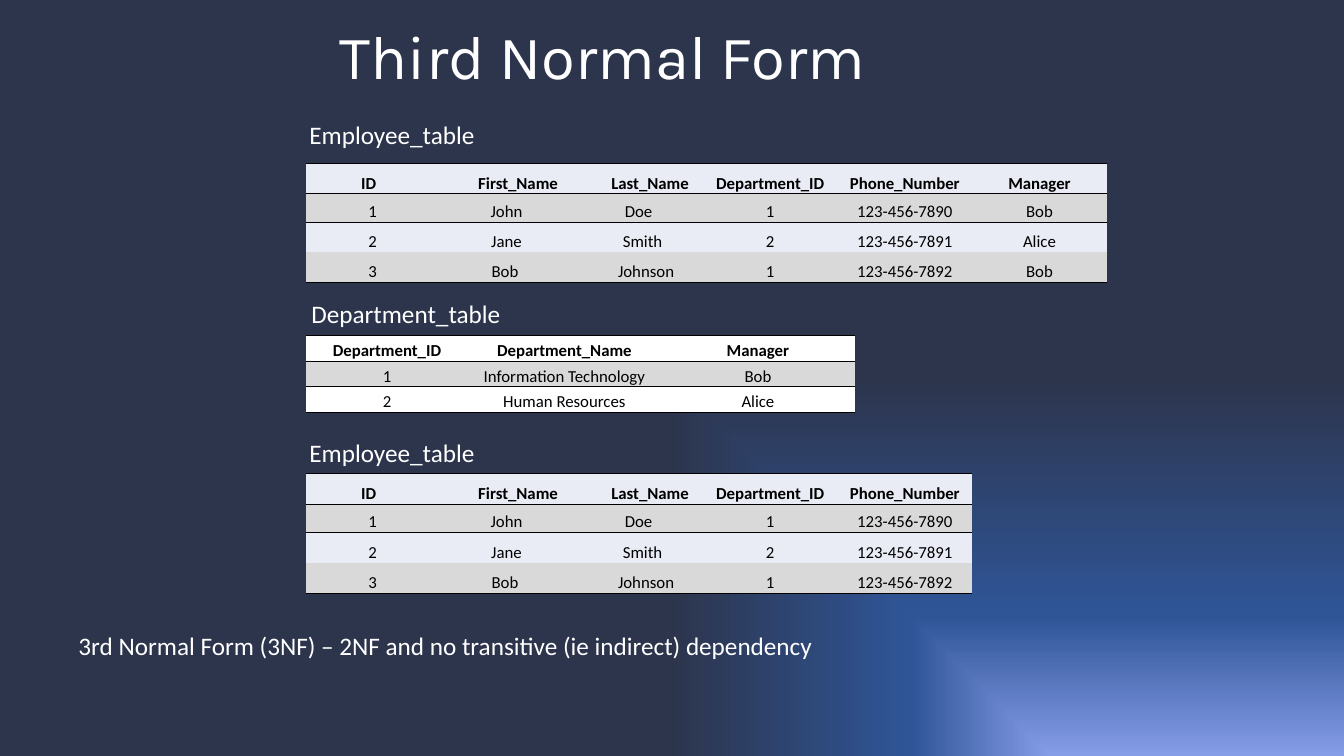
from dataclasses import dataclass
from lxml import etree
from pptx import Presentation
from pptx import util as u
from pptx.dml.color import RGBColor
from pptx.enum import text
from pptx.oxml import parse_xml
from pptx.oxml.ns import nsdecls, qn


@dataclass(frozen=True)
class Theme:
    body_font: str = "Calibri"
    title_font: str = "Karla"
    title_size: int = 44
    label_size: int = 18
    cell_size: int = 12
    light: str = "FFFFFF"
    ink: str = "000000"
    band: str = "D9D9D9"
    pale: str = "E9EBF5"
    glow: tuple = ((0, "859CE7"), (37, "2F5597"), (100, "2D354D"))


THEME = Theme()
SLIDE_WIDTH, SLIDE_HEIGHT = u.Inches(13.33), u.Inches(7.5)
NO_STYLE = "{2D5ABB26-0587-4C30-8999-92F81FD0307C}"
TABLE_LEFT = 22.8

EMPLOYEES = [
    ["ID", "First_Name", "Last_Name", "Department_ID", "Phone_Number", "Manager"],
    ["1", "John", "Doe", "1", "123-456-7890", "Bob"],
    ["2", "Jane", "Smith", "2", "123-456-7891", "Alice"],
    ["3", "Bob", "Johnson", "1", "123-456-7892", "Bob"],
]
EMPLOYEE_COLUMNS = [9.85, 11.8, 7.85, 10.02, 10.02, 10.02]
EMPLOYEE_ROWS = [4, 3.75, 4, 4]
EMPLOYEE_INDENTS = {
    (0, 0): 0.08,
    (1, 1): 0.23, (1, 2): 0.23,
    (2, 1): 0.23, (2, 2): 0.15,
    (3, 1): 0.26, (3, 2): 0.08,
}
DEPARTMENTS = [
    ["Department_ID", "Department_Name", "Manager"],
    ["1", "Information Technology", "Bob"],
    ["2", "Human Resources", "Alice"],
]
DEPARTMENT_COLUMNS = [12, 14.4, 14.4]
DEPARTMENT_ROWS = [3.37] * 3


def across(percent):
    return int(SLIDE_WIDTH * percent / 100)


def down(percent):
    return int(SLIDE_HEIGHT * percent / 100)


def area(left, top, width, height):
    return across(left), down(top), across(width), down(height)


def apply(target, values):
    for name, value in values.items():
        setattr(target, name, value)


def write(frame, words, size, color, font, bold=False, align=None):
    paragraph = frame.paragraphs[0]
    paragraph.alignment = align
    run = paragraph.add_run()
    run.text = words
    apply(run.font, {"name": font, "size": u.Pt(size), "bold": bold})
    run.font.color.rgb = RGBColor.from_string(color)


def paint_background(slide):
    slide.background.fill.gradient()
    gradient = slide.background._cSld.find(".//" + qn("a:gradFill"))
    stops = "".join(
        f'<a:gs pos="{position * 1000}"><a:srgbClr val="{color}"/></a:gs>'
        for position, color in THEME.glow
    )
    gradient.getparent().replace(gradient, parse_xml(
        f'<a:gradFill {nsdecls("a")} rotWithShape="1"><a:gsLst>{stops}</a:gsLst>'
        '<a:path path="rect"><a:fillToRect l="100000" t="100000"/></a:path>'
        '<a:tileRect r="-100000" b="-100000"/></a:gradFill>'
    ))


def set_title(slide, words):
    title = slide.shapes.title
    apply(title, dict(zip(("left", "top", "width", "height"),
                          area(19.88, 1.73, 49.96, 11.2))))
    apply(title.text_frame, {
        "word_wrap": True,
        "auto_size": text.MSO_AUTO_SIZE.SHAPE_TO_FIT_TEXT,
        "vertical_anchor": text.MSO_ANCHOR.TOP,
    })
    write(title.text_frame, words, THEME.title_size, THEME.light,
          THEME.title_font, align=text.PP_ALIGN.CENTER)


def add_label(slide, words, left, top, width):
    frame = slide.shapes.add_textbox(*area(left, top, width, 5.33)).text_frame
    apply(frame, {
        "word_wrap": False,
        "auto_size": text.MSO_AUTO_SIZE.SHAPE_TO_FIT_TEXT,
    })
    write(frame, words, THEME.label_size, THEME.light, THEME.body_font)


def rule_cell(cell, sides):
    properties = cell._tc.get_or_add_tcPr()
    for side in sides:
        line = etree.SubElement(properties, qn(f"a:ln{side}"), w=str(u.Pt(0.5)))
        fill = etree.SubElement(line, qn("a:solidFill"))
        etree.SubElement(fill, qn("a:srgbClr"), val=THEME.ink)


def add_data_table(slide, records, columns, rows, top, base, indents):
    frame = slide.shapes.add_table(
        len(rows), len(columns), *area(TABLE_LEFT, top, sum(columns), sum(rows)))
    table = frame.table
    table._tbl.tblPr.find(qn("a:tableStyleId")).text = NO_STYLE
    for column, width in zip(table.columns, columns):
        column.width = across(width)
    for row, height in zip(table.rows, rows):
        row.height = down(height)
    for r, record in enumerate(records):
        sides = {0: "TB", 1: "T", len(rows) - 1: "B"}.get(r, "")
        for c, words in enumerate(record):
            cell = table.cell(r, c)
            apply(cell, {
                "margin_left": u.Inches(0.01),
                "margin_top": u.Inches(0.01),
                "margin_right": u.Inches(0.01 + indents.get((r, c), 0)),
                "margin_bottom": 0,
                "vertical_anchor": text.MSO_ANCHOR.BOTTOM,
            })
            rule_cell(cell, sides)
            cell.fill.solid()
            cell.fill.fore_color.rgb = RGBColor.from_string(
                THEME.band if r % 2 else base)
            write(cell.text_frame, words, THEME.cell_size, THEME.ink,
                  THEME.body_font, r == 0, text.PP_ALIGN.CENTER)


def add_employee_table(slide, top, count):
    add_data_table(slide, [record[:count] for record in EMPLOYEES],
                   EMPLOYEE_COLUMNS[:count], EMPLOYEE_ROWS, top,
                   THEME.pale, EMPLOYEE_INDENTS)


def main():
    deck = Presentation()
    apply(deck, {"slide_width": SLIDE_WIDTH, "slide_height": SLIDE_HEIGHT})
    slide = deck.slides.add_slide(deck.slide_layouts[5])
    paint_background(slide)
    set_title(slide, "Third Normal Form")
    add_label(slide, "Employee_table", 22.28, 15.07, 13.95)
    add_employee_table(slide, 21.6, 6)
    add_label(slide, "Department_table", 22.43, 38.8, 15.75)
    add_data_table(slide, DEPARTMENTS, DEPARTMENT_COLUMNS, DEPARTMENT_ROWS,
                   44.4, THEME.light, {})
    add_label(slide, "Employee_table", 22.28, 57.2, 13.95)
    add_employee_table(slide, 62.67, 5)
    add_label(slide, "3rd Normal Form (3NF) – 2NF and no transitive (ie indirect) dependency",
              5.1, 82.67, 57.4)
    deck.save("out.pptx")


if __name__ == "__main__":
    main()
